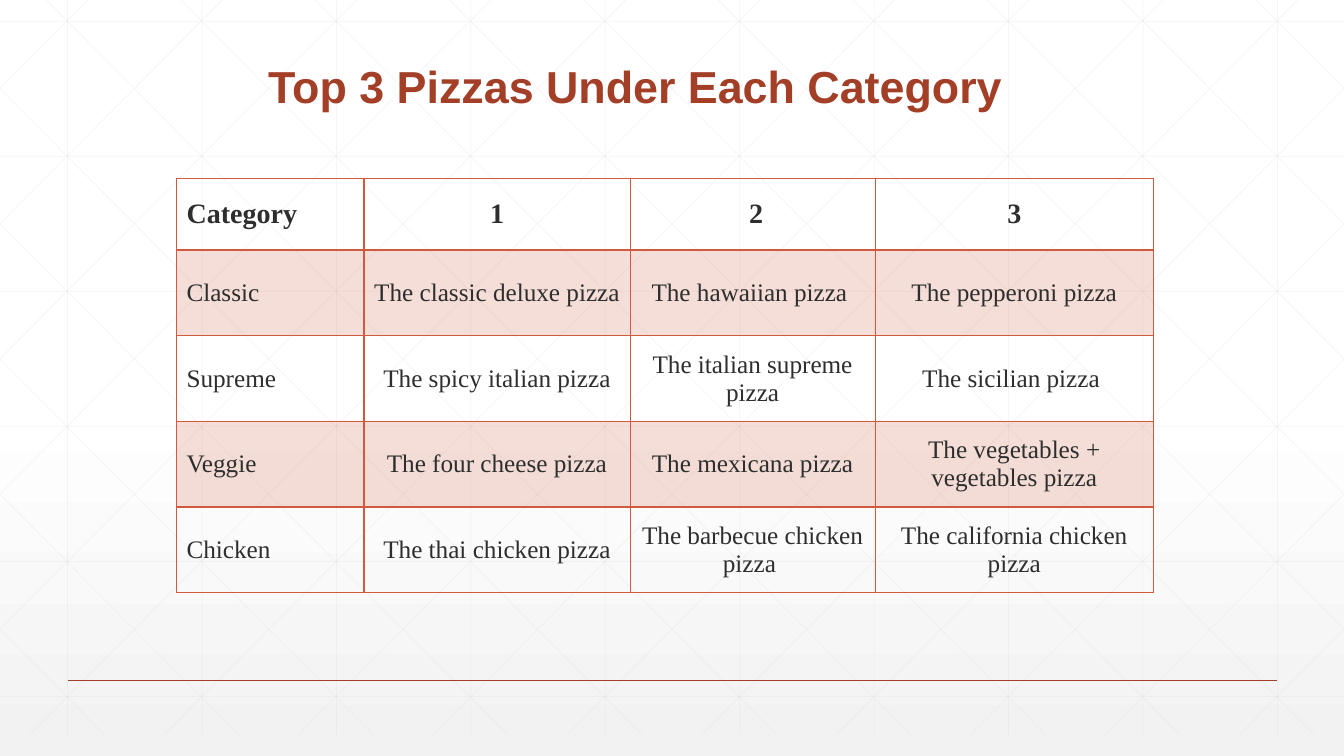
from dataclasses import dataclass

from lxml import etree
from pptx import Presentation
from pptx import util as u
from pptx.dml.color import RGBColor
from pptx.enum import shapes, text
from pptx.oxml import ns, parse_xml

RUST = RGBColor(0xA4, 0x3F, 0x27)
CORAL = RGBColor(0xD1, 0x5A, 0x3E)
INK = RGBColor(0x2D, 0x2E, 0x2D)
PALE = RGBColor(0xD9, 0xD9, 0xD9)
WHITE = RGBColor(0xFF, 0xFF, 0xFF)
MIST = RGBColor(0xF2, 0xF2, 0xF2)

WIDE, HIGH = 13.33, 7.5
TOP, BASE = -0.21, 7.29
STEP = 4 / 3
SLANT = 7.455

COLS = [1.86, 2.64, 2.43, 2.76]
ROWS = [0.71, 0.85, 0.85, 0.85, 0.85]
CELLS = [
    ["Category", "1", " 2", "3"],
    ["Classic", "The classic deluxe pizza ", "The hawaiian pizza ", "The pepperoni pizza"],
    ["Supreme", "The spicy italian pizza", "The italian supreme pizza", "The sicilian pizza "],
    ["Veggie", "The four cheese pizza", "The mexicana pizza", "The vegetables + vegetables pizza"],
    ["Chicken", "The thai chicken pizza", "The barbecue chicken pizza ", "The california chicken pizza"],
]


@dataclass
class Rule:
    x1: float
    y1: float
    x2: float
    y2: float
    color: RGBColor = PALE
    width: float = 0.5
    alpha: int = 25


def fade(node, alpha: int) -> None:
    for color in node.iter(ns.qn("a:srgbClr")):
        etree.SubElement(color, ns.qn("a:alpha"), val=str(alpha * 1000))


def draw_rule(slide, rule: Rule) -> None:
    ends = [u.Inches(n) for n in (rule.x1, rule.y1, rule.x2, rule.y2)]
    line = slide.shapes.add_connector(shapes.MSO_CONNECTOR.STRAIGHT, *ends)
    line.line.color.rgb = rule.color
    line.line.width = u.Pt(rule.width)
    props = line.element.spPr
    if rule.alpha < 100:
        fade(props, rule.alpha)
    etree.SubElement(props, ns.qn("a:effectLst"))


def slant_rules(start: float) -> list[Rule]:
    slope = (BASE - TOP) / SLANT
    left, right = max(start, 0), min(start + SLANT, WIDE)
    y1, y2 = (TOP + (x - start) * slope for x in (left, right))
    return [Rule(left, y1, right, y2), Rule(WIDE - left, y1, WIDE - right, y2)]


def grid_rules() -> list[Rule]:
    rules = [Rule(0.67 + i * STEP, TOP, 0.67 + i * STEP, BASE) for i in range(10)]
    rules += [Rule(0, 0.21 + i * 1.34, WIDE, 0.21 + i * 1.34) for i in range(6)]
    for i in range(-5, 10):
        rules += slant_rules(0.25 + i * STEP)
    return rules


def put_text(frame, words: str, *, font: str, size: float, color: RGBColor,
             bold: bool = False, align=text.PP_ALIGN.LEFT, space: float = 1.0) -> None:
    para = frame.paragraphs[0]
    para.alignment = align
    para.line_spacing = space
    run = para.add_run()
    run.text = words
    run.font.name = font
    run.font.size = u.Pt(size)
    run.font.bold = bold
    run.font.color.rgb = color


def set_back(slide) -> None:
    slide.background.fill.gradient()
    grad = next(slide.background.fill._xPr.iter(ns.qn("a:gradFill")))
    stops = "".join(
        f'<a:gs pos="{place * 1000}"><a:srgbClr val="{color}"/></a:gs>'
        for place, color in ((0, WHITE), (53, WHITE), (100, MIST)))
    fresh = parse_xml(
        f'<a:gradFill {ns.nsdecls("a")} rotWithShape="1"><a:gsLst>{stops}</a:gsLst>'
        '<a:lin ang="5400000" scaled="0"/></a:gradFill>')
    grad.getparent().replace(grad, fresh)


def set_edge(cell, side: str, width: float) -> None:
    cell._tc.get_or_add_tcPr().append(parse_xml(
        f'<a:ln{side} {ns.nsdecls("a")} w="{u.Pt(width)}"><a:solidFill>'
        f'<a:srgbClr val="{CORAL}"/></a:solidFill></a:ln{side}>'))


def draw_title(slide) -> None:
    title = slide.shapes.title
    title.left, title.top = u.Inches(2.56), u.Inches(0.54)
    title.width, title.height = u.Inches(10.5), u.Inches(0.63)
    title.text_frame.vertical_anchor = text.MSO_ANCHOR.BOTTOM
    put_text(title.text_frame, "Top 3 Pizzas Under Each Category",
             font="Arial", size=32, color=RUST, bold=True, space=0.9)
    title.element.getparent().append(title.element)


def draw_table(slide) -> None:
    table = slide.shapes.add_table(
        len(ROWS), len(COLS), u.Inches(1.75), u.Inches(1.77),
        u.Inches(sum(COLS)), u.Inches(sum(ROWS))).table
    table.horz_banding = False
    for col, width in zip(table.columns, COLS):
        col.width = u.Inches(width)
    for r, (row, height) in enumerate(zip(table.rows, ROWS)):
        row.height = u.Inches(height)
        for c, cell in enumerate(row.cells):
            cell.vertical_anchor = text.MSO_ANCHOR.MIDDLE
            for side in "LRTB":
                head = (r, side) in ((0, "B"), (1, "T"))
                set_edge(cell, side, 2 if head else 1)
            if r % 2:
                cell.fill.solid()
                cell.fill.fore_color.rgb = CORAL
                fade(cell._tc.tcPr.find(ns.qn("a:solidFill")), 20)
            else:
                cell.fill.background()
            put_text(cell.text_frame, CELLS[r][c], font="Times New Roman",
                     size=18 if r else 20, color=INK, bold=r == 0,
                     align=text.PP_ALIGN.CENTER if c else text.PP_ALIGN.LEFT)


def main() -> None:
    deck = Presentation()
    deck.slide_width, deck.slide_height = u.Inches(WIDE), u.Inches(HIGH)
    slide = deck.slides.add_slide(deck.slide_layouts[5])
    set_back(slide)
    for rule in grid_rules():
        draw_rule(slide, rule)
    draw_rule(slide, Rule(0.67, 6.75, 12.67, 6.75, RUST, 1, 100))
    draw_title(slide)
    draw_table(slide)
    deck.save("out.pptx")


if __name__ == "__main__":
    main()
